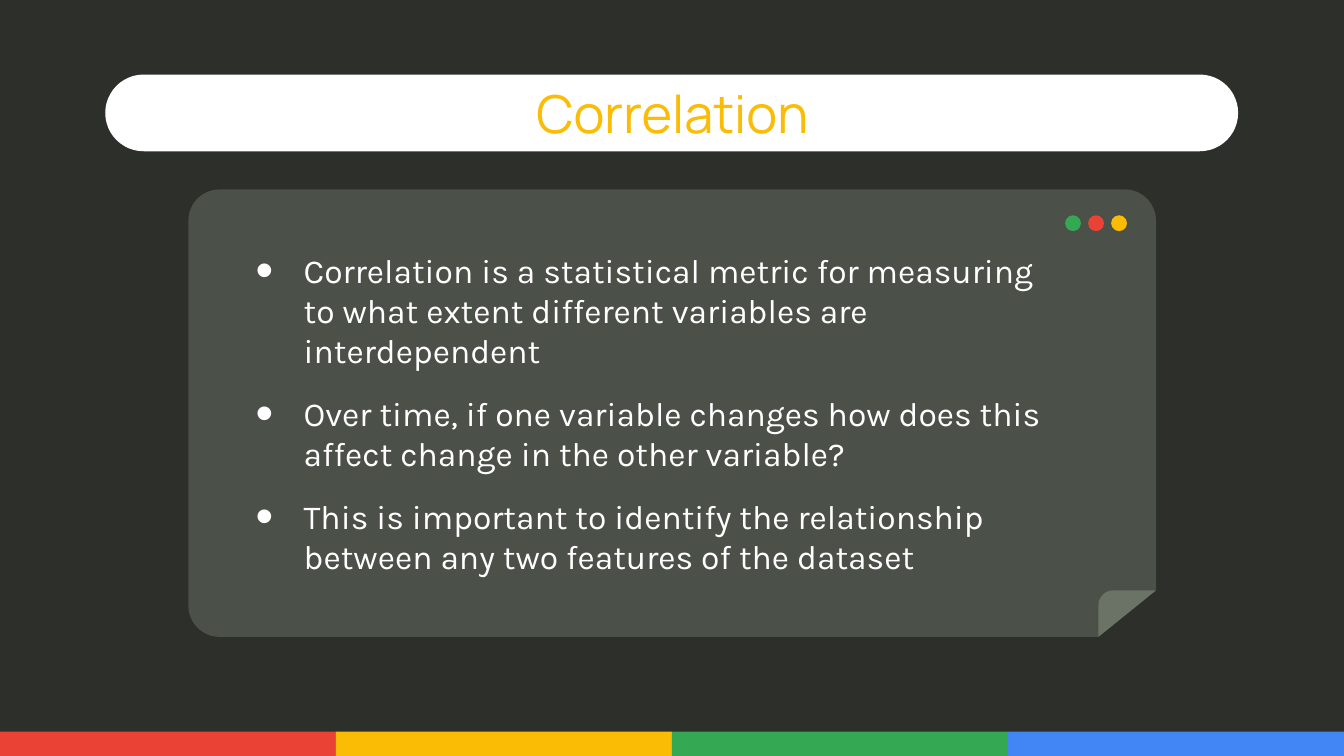
import math

from lxml import etree
from pptx import Presentation
from pptx.dml.color import RGBColor
from pptx.enum.shapes import MSO_SHAPE
from pptx.enum.text import MSO_ANCHOR, MSO_AUTO_SIZE, PP_ALIGN
from pptx.oxml.ns import qn
from pptx.util import Cm, Pt

RECTANGLE = MSO_SHAPE.RECTANGLE
ROUNDED = MSO_SHAPE.ROUNDED_RECTANGLE
OVAL = MSO_SHAPE.OVAL
RIGHT_TRIANGLE = MSO_SHAPE.RIGHT_TRIANGLE

TITLE = "Correlation"
POINTS = [
    "Correlation is a statistical metric for\u00a0measuring to what extent "
    "different variables are interdependent",
    "Over time,\u00a0if one variable changes how does this affect change in "
    "the other variable?",
    "This is important to identify the relationship between any two features "
    "of the dataset",
]
COLORS = {
    "background": "2C2F2A",
    "card": "4B5048",
    "fold": "6A7365",
    "white": "FFFFFF",
    "red": "EA4335",
    "yellow": "FBBC05",
    "green": "34A853",
    "blue": "4285F4",
}
STRIPES = ["red", "yellow", "green", "blue"]
DOTS = ["green", "red", "yellow"]

# Lengths in centimetres
SLIDE_WIDTH, SLIDE_HEIGHT = 25.4, 14.29
STRIPE_HEIGHT = 0.46
CARD = (3.56, 3.58, 18.29, 8.46)
FOLD_WIDTH, FOLD_HEIGHT, FOLD_RADIUS = 1.09, 0.88, 0.28
DOT_LEFT, DOT_TOP, DOT_SIZE, DOT_STEP = 20.13, 4.07, 0.3, 0.435


def rgb(name):
    return RGBColor.from_string(COLORS[name])


def paint(shape, color):
    shape.shadow.inherit = False
    shape.fill.solid()
    shape.fill.fore_color.rgb = rgb(color)
    shape.line.fill.background()


def add_shape(slide, kind, box, color):
    shape = slide.shapes.add_shape(kind, *map(Cm, box))
    paint(shape, color)
    return shape


def add_folded_corner(slide):
    """Hide the card's lower right corner and draw the turned-up flap."""
    left, top, width, height = CARD
    right, bottom = left + width, top + height
    fold_left, fold_top = right - FOLD_WIDTH, bottom - FOLD_HEIGHT

    cutout = add_shape(slide, RIGHT_TRIANGLE,
                       (fold_left, fold_top, FOLD_WIDTH, FOLD_HEIGHT), "background")
    cutout.element.spPr.find(qn("a:xfrm")).set("flipH", "1")
    cutout.line.color.rgb = rgb("background")
    cutout.line.width = Pt(0.75)

    angles = [math.radians(degrees) for degrees in range(90, 181, 10)]
    arc = [(fold_left + FOLD_RADIUS * (1 + math.cos(angle)),
            fold_top + FOLD_RADIUS * (1 - math.sin(angle))) for angle in angles]
    outline = [(Cm(x), Cm(y)) for x, y in
               [(right, fold_top), *arc, (fold_left, bottom)]]
    builder = slide.shapes.build_freeform(*outline[0])
    builder.add_line_segments(outline[1:], close=True)
    paint(builder.convert_to_shape(), "fold")


def fill_placeholder(placeholder, box, lines, anchor, font_name, size, color):
    """Place and fill a placeholder, and bring it in front of the shapes."""
    placeholder.left, placeholder.top, placeholder.width, placeholder.height = map(Cm, box)
    frame = placeholder.text_frame
    frame.text = "\n".join(lines)
    frame.word_wrap = True
    frame.auto_size = MSO_AUTO_SIZE.NONE
    frame.vertical_anchor = anchor
    frame.margin_left = frame.margin_right = Cm(0.25)
    frame.margin_top = frame.margin_bottom = Cm(0.25)
    for paragraph in frame.paragraphs:
        paragraph.space_before = Pt(0)
        for run in paragraph.runs:
            run.font.name = font_name
            run.font.size = Pt(size)
            run.font.color.rgb = rgb(color)
    placeholder.element.getparent().append(placeholder.element)
    return frame


def add_bullet(paragraph):
    paragraph.space_after = Pt(12)
    properties = paragraph._p.get_or_add_pPr()
    properties.set("marL", str(Cm(1.27)))
    properties.set("indent", str(Cm(-0.91)))
    bullet_color = etree.SubElement(properties, qn("a:buClr"))
    etree.SubElement(bullet_color, qn("a:srgbClr"), val=COLORS["white"])
    etree.SubElement(properties, qn("a:buSzPct"), val="150000")
    etree.SubElement(properties, qn("a:buFont"), typeface="Arial")
    etree.SubElement(properties, qn("a:buChar"), char="•")


def main():
    presentation = Presentation()
    presentation.slide_width = Cm(SLIDE_WIDTH)
    presentation.slide_height = Cm(SLIDE_HEIGHT)
    slide = presentation.slides.add_slide(presentation.slide_layouts[1])
    slide.background.fill.solid()
    slide.background.fill.fore_color.rgb = rgb("background")

    title_bar = add_shape(slide, ROUNDED, (1.99, 1.41, 21.41, 1.45), "white")
    title_bar.adjustments[0] = 0.5

    stripe_width = SLIDE_WIDTH / len(STRIPES)
    for index, color in enumerate(STRIPES):
        add_shape(slide, RECTANGLE, (index * stripe_width, SLIDE_HEIGHT - STRIPE_HEIGHT,
                                     stripe_width, STRIPE_HEIGHT), color)

    card = add_shape(slide, ROUNDED, CARD, "card")
    card.adjustments[0] = 0.07
    add_folded_corner(slide)
    for index, color in enumerate(DOTS):
        add_shape(slide, OVAL, (DOT_LEFT + index * DOT_STEP, DOT_TOP,
                                DOT_SIZE, DOT_SIZE), color)

    title, body = slide.placeholders
    title_frame = fill_placeholder(title, (2, 1.5, 21.41, 1.27), [TITLE],
                                   MSO_ANCHOR.MIDDLE, "Manrope", 28, "yellow")
    title_frame.paragraphs[0].alignment = PP_ALIGN.CENTER
    body_frame = fill_placeholder(body, (4.22, 4.47, 16.2, 7.2), POINTS,
                                  MSO_ANCHOR.TOP, "Karla", 18, "white")
    for paragraph in body_frame.paragraphs:
        add_bullet(paragraph)

    presentation.save("out.pptx")


if __name__ == "__main__":
    main()
